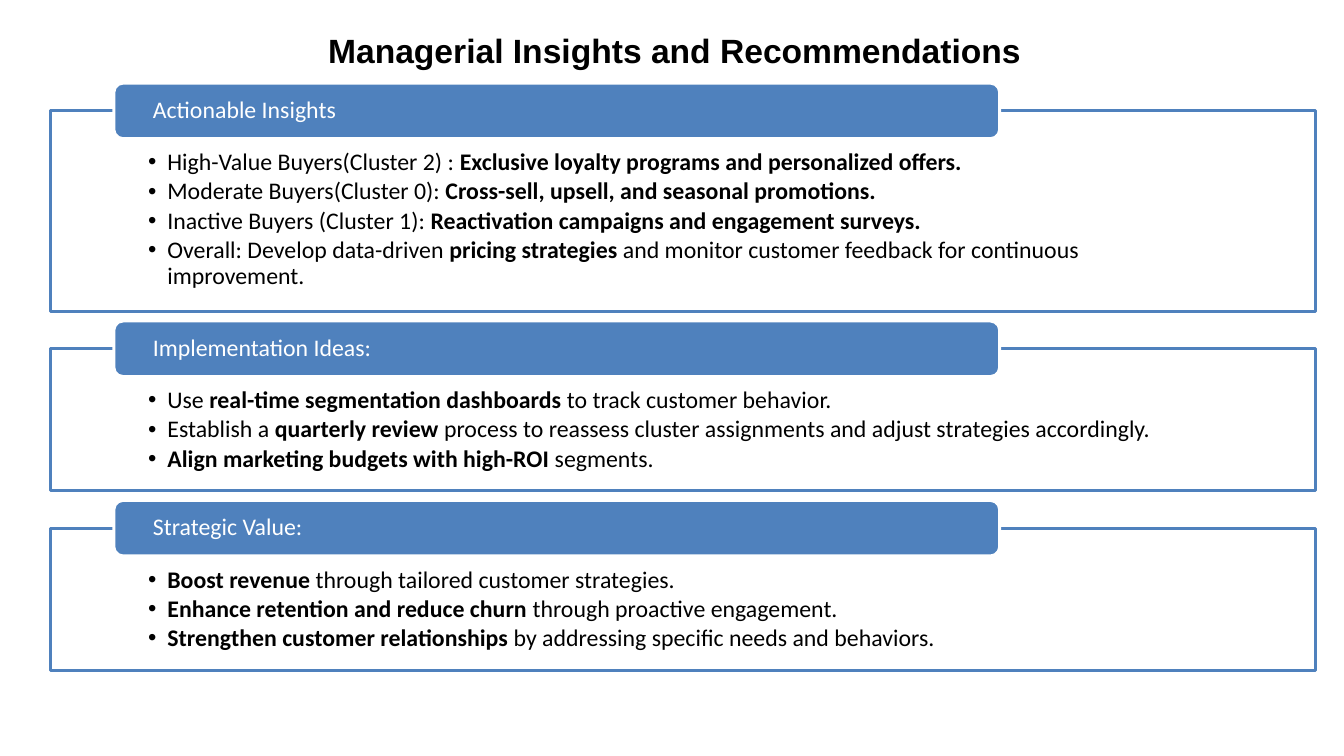
from dataclasses import dataclass

from lxml import etree
from pptx import Presentation
from pptx.dml.color import RGBColor
from pptx.enum.shapes import MSO_SHAPE as SHAPE
from pptx.enum.text import MSO_ANCHOR as ANCHOR, PP_ALIGN as ALIGN
from pptx.oxml.ns import qn
from pptx.util import Inches, Pt


@dataclass(frozen=True)
class Theme:
    blue: RGBColor = RGBColor(0x4F, 0x81, 0xBD)
    white: RGBColor = RGBColor(0xFF, 0xFF, 0xFF)
    black: RGBColor = RGBColor(0, 0, 0)
    title_font: str = "Arial"
    body_font: str = "Calibri"
    title_size: int = 24
    body_size: int = 17
    line_width: int = 2


THEME = Theme()

TITLE = "Managerial Insights and Recommendations"
# Heading, panel height, bullets; ** switches bold on and off
SECTIONS = [
    ("Actionable Insights", 1.99, [
        "High-Value Buyers(Cluster 2) : **Exclusive loyalty programs and personalized offers.**",
        "Moderate Buyers(Cluster 0): **Cross-sell, upsell, and seasonal promotions.**",
        "Inactive Buyers (Cluster 1): **Reactivation campaigns and engagement surveys.**",
        "Overall: Develop data-driven **pricing strategies** and monitor customer feedback "
        "for continuous improvement.",
    ]),
    ("Implementation Ideas:", 1.41, [
        "Use **real-time segmentation dashboards** to track customer behavior.",
        "Establish a **quarterly review** process to reassess cluster assignments "
        "and adjust strategies accordingly.",
        "**Align marketing budgets with high-ROI** segments.",
    ]),
    ("Strategic Value:", 1.41, [
        "**Boost revenue** through tailored customer strategies.",
        "**Enhance retention and reduce churn** through proactive engagement.",
        "**Strengthen customer relationships** by addressing specific needs and behaviors.",
    ]),
]
PANEL_LEFT, PANEL_TOP, PANEL_WIDTH, PANEL_GAP = 0.5, 1.1, 12.55, 0.37


def set_frame(sp, margins, anchor):
    tf = sp.text_frame
    tf.word_wrap = True
    tf.vertical_anchor = anchor
    tf.margin_left, tf.margin_top, tf.margin_right, tf.margin_bottom = map(Inches, margins)
    return tf


def write(p, text, font=THEME.body_font, size=THEME.body_size, color=THEME.black,
          bold=False, align=ALIGN.LEFT, after=0):
    p.alignment = align
    p.line_spacing = 0.9
    p.space_after = Pt(after)
    for i, part in enumerate(text.split("**")):
        if part:
            r = p.add_run()
            r.text = part
            r.font.name, r.font.size = font, Pt(size)
            r.font.bold = bold or i % 2 == 1
            r.font.color.rgb = color


def add_bullet(p, indent):
    pPr = p._p.get_or_add_pPr()
    pPr.set("marL", str(Inches(indent)))
    pPr.set("indent", str(Inches(-indent)))
    etree.SubElement(pPr, qn("a:buFont")).set("typeface", "Arial")
    etree.SubElement(pPr, qn("a:buChar")).set("char", "•")


def add_box(slide, kind, left, top, width, height, fill, line):
    sp = slide.shapes.add_shape(kind, *map(Inches, (left, top, width, height)))
    sp.shadow.inherit = False
    sp.fill.solid()
    sp.fill.fore_color.rgb = fill
    sp.line.color.rgb = line
    sp.line.width = Pt(THEME.line_width)
    return sp


def add_title(slide, left, top, width, height):
    sp = slide.shapes.add_textbox(*map(Inches, (left, top, width, height)))
    tf = set_frame(sp, (0, 0, 0, 0), ANCHOR.MIDDLE)
    write(tf.paragraphs[0], TITLE, font=THEME.title_font, size=THEME.title_size,
          bold=True, align=ALIGN.CENTER)


def add_section(slide, left, top, width, height, heading, bullets):
    # Outlined panel with bullets
    panel = add_box(slide, SHAPE.RECTANGLE, left, top, width, height,
                    THEME.white, THEME.blue)
    tf = set_frame(panel, (0.97, 0.39, 0.97, 0.13), ANCHOR.TOP)
    for i, bullet in enumerate(bullets):
        p = tf.add_paragraph() if i else tf.paragraphs[0]
        write(p, bullet, after=2.5)
        add_bullet(p, 0.19)

    # Heading tab across the top edge
    tab = add_box(slide, SHAPE.ROUNDED_RECTANGLE, left + 0.63, top - 0.275,
                  width * 0.7, 0.55, THEME.blue, THEME.white)
    tf = set_frame(tab, (0.36, 0, 0.36, 0), ANCHOR.MIDDLE)
    write(tf.paragraphs[0], heading, color=THEME.white)


def main():
    prs = Presentation()
    prs.slide_width, prs.slide_height = Inches(13.33), Inches(7.5)
    slide = prs.slides.add_slide(prs.slide_layouts[6])

    add_title(slide, 3.22, 0.23, 6.94, 0.59)
    top = PANEL_TOP
    for heading, height, bullets in SECTIONS:
        add_section(slide, PANEL_LEFT, top, PANEL_WIDTH, height, heading, bullets)
        top += height + PANEL_GAP

    prs.save("out.pptx")


if __name__ == "__main__":
    main()
